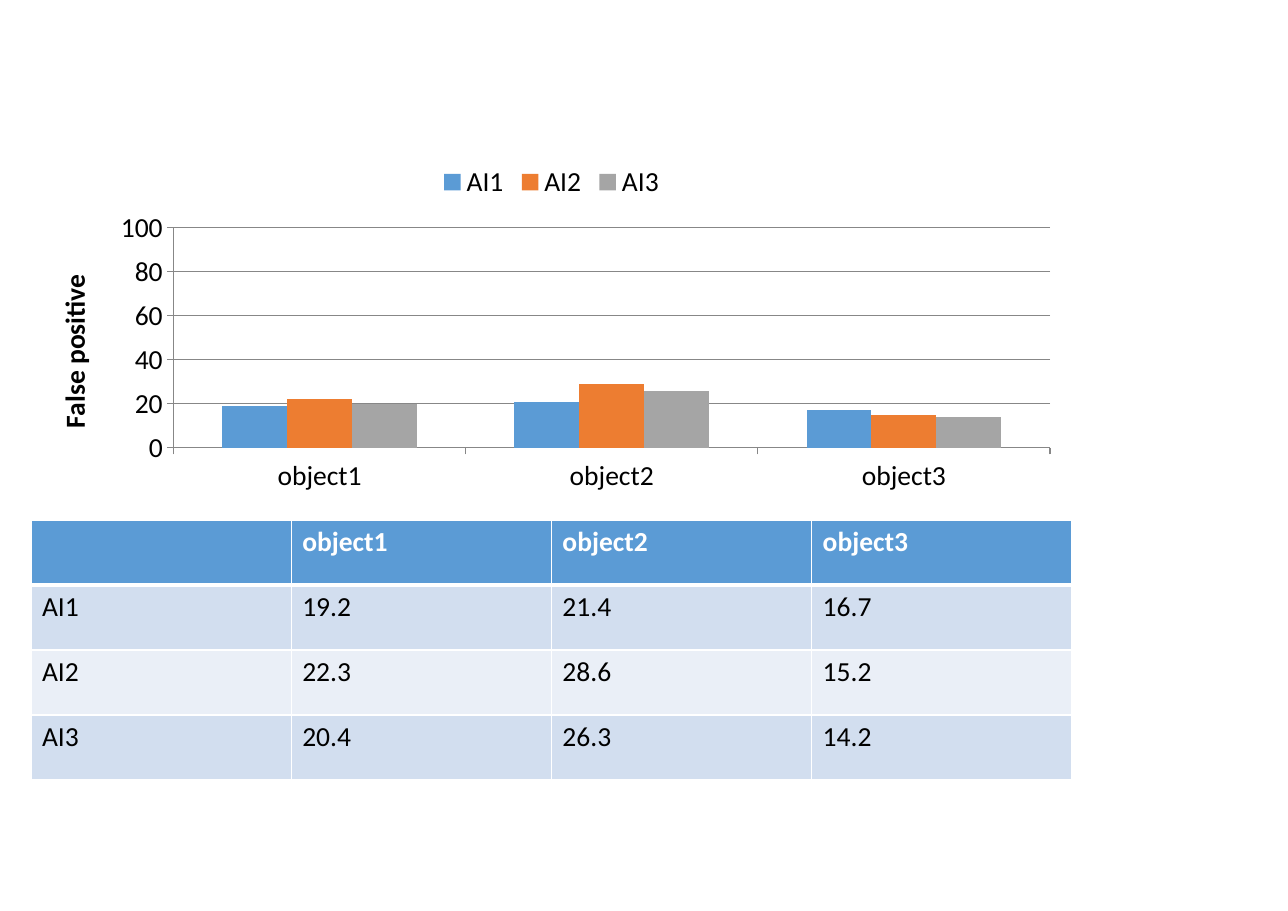
"""Build a slide comparing false positives of three AIs as a chart and a table."""
from dataclasses import dataclass

from lxml import etree
from pptx import Presentation
from pptx import util as u
from pptx.chart import data as chart_data
from pptx.dml import color
from pptx.enum import chart as charts
from pptx.oxml import ns

PIXEL = 914400 / 110.2
COLORS = {
    "blue": "5B9BD5", "orange": "ED7D31", "gray": "A5A5A5", "line": "878787",
    "band": "D2DEEF", "light": "EAEFF7", "white": "FFFFFF", "black": "000000",
}
FONT = {"name": "Calibri", "size": u.Pt(18)}
OBJECTS = ("object1", "object2", "object3")


@dataclass(frozen=True)
class Box:
    """A rectangle in pixels."""
    left: int
    top: int
    width: int
    height: int

    def emu(self) -> list[u.Emu]:
        """Return the rectangle in EMU."""
        return [px(value) for value in (self.left, self.top, self.width, self.height)]


@dataclass(frozen=True)
class Detector:
    """An AI with its bar colour and false positives per object."""
    name: str
    color: str
    rates: tuple[float, ...]


CHART = Box(31, 152, 1041, 347)
PLOT = Box(174, 228, 877, 220)
TABLE = Box(31, 520, 1041, 260)
DETECTORS = (
    Detector("AI1", "blue", (19.2, 21.4, 16.7)),
    Detector("AI2", "orange", (22.3, 28.6, 15.2)),
    Detector("AI3", "gray", (20.4, 26.3, 14.2)),
)


def px(value: float) -> u.Emu:
    """Turn pixels into EMU."""
    return u.Emu(round(value * PIXEL))


def rgb(name: str) -> color.RGBColor:
    """Look up a named colour."""
    return color.RGBColor.from_string(COLORS[name])


def apply(target, values: dict) -> None:
    """Set every attribute given in values."""
    for name, value in values.items():
        setattr(target, name, value)


def format_font(font, color_name: str, bold: bool = False) -> None:
    """Apply the slide's font in one colour."""
    apply(font, FONT | {"bold": bold})
    font.color.rgb = rgb(color_name)


def format_line(line) -> None:
    """Draw a thin gray chart line."""
    line.color.rgb = rgb("line")
    line.width = u.Pt(0.75)


def place_plot(chart) -> None:
    """Fix the inner plot area inside the chart."""
    plot_area = chart.plots[0]._element.getparent()
    for layout in plot_area.findall(ns.qn("c:layout")):
        plot_area.remove(layout)
    layout = etree.Element(ns.qn("c:layout"))
    manual = etree.SubElement(layout, ns.qn("c:manualLayout"))
    values = {
        "layoutTarget": "inner", "xMode": "edge", "yMode": "edge",
        "x": round((PLOT.left - CHART.left) / CHART.width, 3),
        "y": round((PLOT.top - CHART.top) / CHART.height, 3),
        "w": round(PLOT.width / CHART.width, 3),
        "h": round(PLOT.height / CHART.height, 3),
    }
    for name, value in values.items():
        etree.SubElement(manual, ns.qn(f"c:{name}"), val=str(value))
    plot_area.insert(0, layout)


def add_rate_chart(slide) -> None:
    """Add the clustered columns of whole rates with legend and axis title."""
    rates = chart_data.CategoryChartData(number_format="General")
    rates.categories = OBJECTS
    for detector in DETECTORS:
        rates.add_series(detector.name, [round(rate) for rate in detector.rates])
    kind = charts.XL_CHART_TYPE.COLUMN_CLUSTERED
    chart = slide.shapes.add_chart(kind, *CHART.emu(), rates).chart
    format_font(chart.font, "black")
    apply(chart, {"has_title": False, "has_legend": True})
    apply(chart.legend, {"position": charts.XL_LEGEND_POSITION.TOP,
                         "include_in_layout": False})
    plot = chart.plots[0]
    apply(plot, {"gap_width": 150, "overlap": 0, "vary_by_categories": False})
    for series, detector in zip(plot.series, DETECTORS):
        series.format.fill.solid()
        series.format.fill.fore_color.rgb = rgb(detector.color)
        series.invert_if_negative = False
    for axis in (chart.category_axis, chart.value_axis):
        axis.major_tick_mark = charts.XL_TICK_MARK.OUTSIDE
        format_line(axis.format.line)
    value_axis = chart.value_axis
    apply(value_axis, {"minimum_scale": 0, "maximum_scale": 100, "major_unit": 20,
                       "has_major_gridlines": True})
    format_line(value_axis.major_gridlines.format.line)
    title = value_axis.axis_title.text_frame
    title.text = "False positive"
    format_font(title.paragraphs[0].runs[0].font, "black", bold=True)
    place_plot(chart)


def add_border(cell, side: str, points: int) -> None:
    """Add one white border to a cell."""
    properties = cell._tc.get_or_add_tcPr()
    line = etree.SubElement(properties, ns.qn(f"a:{side}"), w=str(u.Pt(points)))
    fill = etree.SubElement(line, ns.qn("a:solidFill"))
    etree.SubElement(fill, ns.qn("a:srgbClr"), val=COLORS["white"])


def format_cell(cell, row: int, value: str) -> None:
    """Write a cell with the borders, fill and font of its row."""
    thick = {0: "lnB", 1: "lnT"}.get(row)
    for side in ("lnL", "lnR", "lnT", "lnB"):
        add_border(cell, side, 3 if side == thick else 1)
    cell.fill.solid()
    cell.fill.fore_color.rgb = rgb("blue" if row == 0 else ("light", "band")[row % 2])
    cell.text = value
    format_font(cell.text_frame.paragraphs[0].font,
                "white" if row == 0 else "black", bold=row == 0)


def add_rate_table(slide) -> None:
    """Add the table of rates under the chart."""
    rows = [("", *OBJECTS)]
    rows += [(detector.name, *map(str, detector.rates)) for detector in DETECTORS]
    shape = slide.shapes.add_table(len(rows), len(rows[0]), *TABLE.emu())
    for row, values in enumerate(rows):
        for column, value in enumerate(values):
            format_cell(shape.table.cell(row, column), row, value)


def main() -> None:
    """Build and save the presentation."""
    presentation = Presentation()
    apply(presentation, {"slide_width": px(1288), "slide_height": px(911)})
    slide = presentation.slides.add_slide(presentation.slide_layouts[6])
    add_rate_table(slide)
    add_rate_chart(slide)
    presentation.save("out.pptx")


main()
